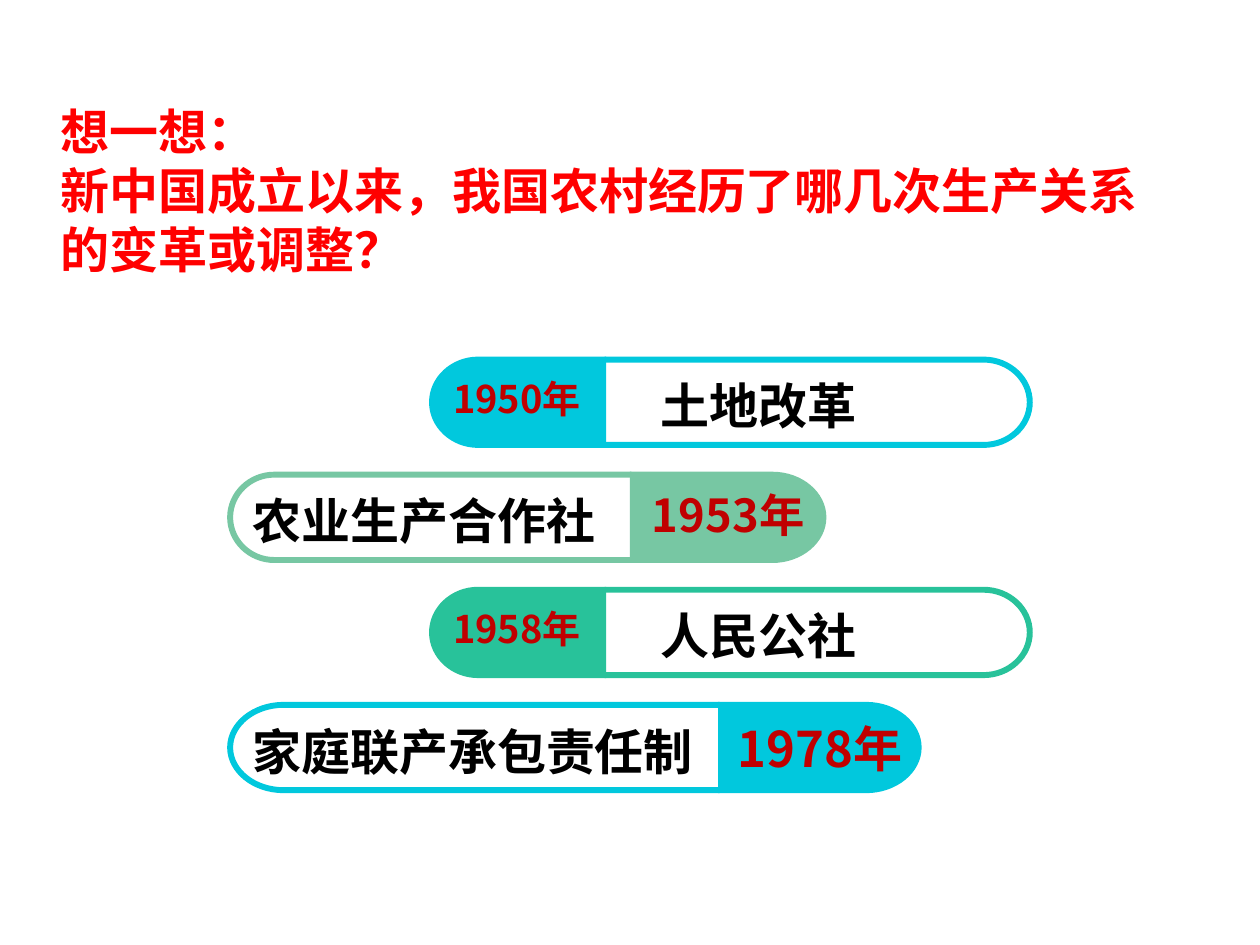
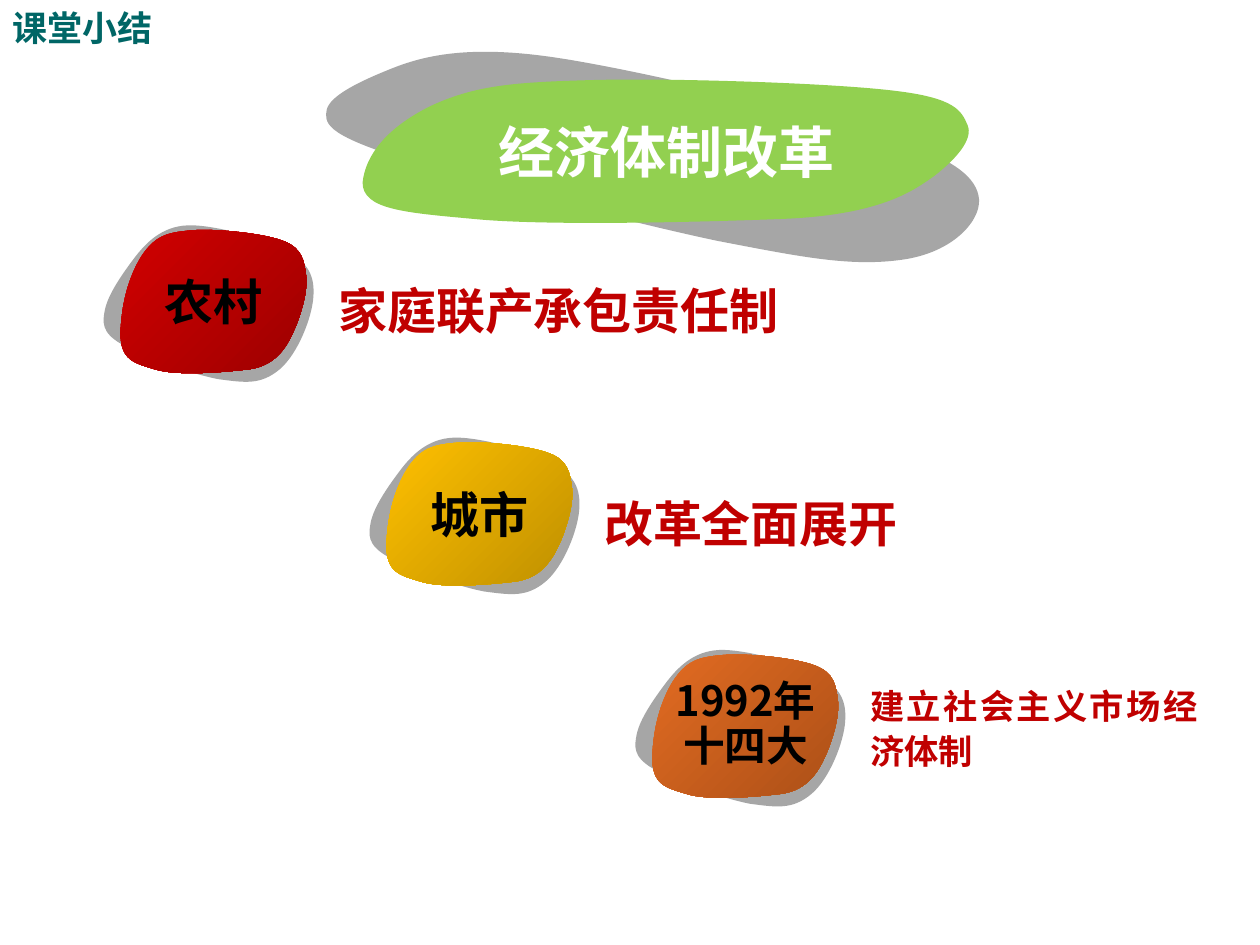
from dataclasses import dataclass

from lxml import etree
from pptx import Presentation
from pptx.dml.color import RGBColor
from pptx.enum.text import MSO_ANCHOR, PP_ALIGN
from pptx.oxml.ns import qn
from pptx.shapes.autoshape import Shape
from pptx.slide import Slide
from pptx.util import Cm, Pt

LEFT, CENTER, JUSTIFY = PP_ALIGN.LEFT, PP_ALIGN.CENTER, PP_ALIGN.JUSTIFY
TOP, MIDDLE = MSO_ANCHOR.TOP, MSO_ANCHOR.MIDDLE

COLORS = {
    "black": "000000", "white": "FFFFFF", "red": "FF0000", "dark": "C00000",
    "teal": "006666", "cyan": "01C8DD", "sage": "77C7A3", "jade": "28C29A",
    "gray": "A6A6A6", "lime": "92D050",
    "ruby": "D10000", "wine": "9D0000", "gold": "FFC000", "ochre": "BF9000",
    "orange": "E26B22", "rust": "AC5017",
}
HAN = "Noto Sans CJK SC"
Point = tuple[float, float]
Track = list[list[Point]]

BAR_TOP, BAR_STEP, BAR_TALL, RIM, LAP = 7.19, 2.32, 1.84, 0.12, 0.03
BLOB_LEFT, BLOB_TOP, BLOB_DX, BLOB_DY = 2.2, 4.6, 5.36, 4.28
TILT, ARC = 12.4, 0.55

BACK = [
    (90.9, 84.6), (83.3, 98), (75.6, 98.5), (62.2, 100.1),
    (49, 100.6), (21.7, 96.4), (11.2, 90.8),
    (0.8, 86), (0, 79.4), (0, 69.8),
    (0.1, 60.1), (3.9, 46.6), (8.4, 33),
    (12.6, 20.4), (18.6, 7.1), (31, 2.6),
    (43.3, -1.9), (70.9, 0.2), (82.3, 5.5),
    (93.7, 10), (98.1, 18.3), (99.5, 31.8),
    (101, 45.4), (98.1, 71.6), (90.9, 84.6),
]
FRONT = [
    (11, 19), (18.5, 4), (25, 2), (38, 0.5),
    (50.5, -1), (77, 2.5), (87.5, 8),
    (97.5, 13), (98.5, 22), (99.5, 32),
    (100.5, 42), (97.5, 56), (94, 67.5),
    (90.5, 78), (85, 95), (68.5, 97.5),
    (52.5, 100), (29.5, 102), (18.5, 97.5),
    (7, 93), (0, 91), (0, 72),
    (0.5, 52.5), (4, 34), (11, 19),
]


@dataclass
class Style:
    size: float
    color: str
    align: PP_ALIGN = LEFT
    space: float = 1.0
    font: str = HAN
    anchor: MSO_ANCHOR = MIDDLE


@dataclass
class Box:
    left: float
    top: float
    wide: float
    tall: float


@dataclass
class Bar:
    year: str
    event: str
    color: str
    tip: float
    split: float
    end: float
    cap: float
    bend: float
    size: float
    space: float
    pad: float


@dataclass
class Blob:
    label: str
    note: str
    fill: tuple[str, str]
    wide: float
    label_style: Style
    note_style: Style


BARS = [
    Bar("1950年", "土地改革", "cyan", 8.65, 12.19, 20.82, 0.99, 0.99, 21.7, 0.8, 1.13),
    Bar("1953年", "农业生产合作社", "sage", 16.66, 12.7, 4.58, 1.09, 0.95, 25.9, 0.9, 0.51),
    Bar("1958年", "人民公社", "jade", 8.65, 12.19, 20.82, 0.99, 0.99, 21.7, 0.8, 1.13),
    Bar("1978年", "家庭联产承包责任制", "cyan", 18.58, 14.48, 4.58, 1.12, 1.14, 28, 1, 0.51),
]
NAME = Style(28, "black", CENTER)
NOTE = Style(28, "dark", JUSTIFY, 1.3)
BLOBS = [
    Blob("农村", "家庭联产承包责任制", ("ruby", "wine"), 10.34, NAME, NOTE),
    Blob("城市", "改革全面展开", ("gold", "ochre"), 7.7, NAME, NOTE),
    Blob("1992年\n十四大", "建立社会主义市场经济体制", ("orange", "rust"), 7.11,
         Style(23.8, "black", CENTER, 0.9), Style(19.6, "dark", JUSTIFY, 1.1)),
]


def paint(name: str) -> RGBColor:
    return RGBColor.from_string(COLORS[name])


def write(shape: Shape, text: str, style: Style, pad: float = 0.25, right: float = 0.25) -> None:
    frame = shape.text_frame
    frame.word_wrap = True
    frame.vertical_anchor = style.anchor
    frame.margin_left, frame.margin_right = Cm(pad), Cm(right)
    frame.margin_top = frame.margin_bottom = Cm(0.13)
    frame.text = text
    for para in frame.paragraphs:
        para.alignment = style.align
        para.line_spacing = style.space
        font = para.font
        font.size, font.bold, font.name = Pt(style.size), True, style.font
        font.color.rgb = paint(style.color)
        etree.SubElement(font._rPr, qn("a:ea")).set("typeface", HAN)


def add_text(slide: Slide, box: Box, text: str, style: Style) -> None:
    area = slide.shapes.add_textbox(Cm(box.left), Cm(box.top), Cm(box.wide), Cm(box.tall))
    write(area, text, style)


def trace(shape: Shape, box: Box, track: Track) -> None:
    route = shape._element.find(".//" + qn("a:path"))
    for child in list(route):
        route.remove(child)
    for i, step in enumerate(track):
        tag = "a:moveTo" if i == 0 else "a:cubicBezTo" if len(step) == 3 else "a:lnTo"
        move = etree.SubElement(route, qn(tag))
        for x, y in step:
            spot = etree.SubElement(move, qn("a:pt"))
            spot.set("x", str(Cm(x - box.left)))
            spot.set("y", str(Cm(y - box.top)))
    etree.SubElement(route, qn("a:close"))


def outline(slide: Slide, box: Box, track: Track, *fill: str) -> Shape:
    pen = slide.shapes.build_freeform(Cm(box.left), Cm(box.top))
    pen.add_line_segments([(Cm(box.left + box.wide), Cm(box.top + box.tall))], close=True)
    shape = pen.convert_to_shape()
    trace(shape, box, track)
    shape.shadow.inherit = False
    shape.line.fill.background()
    if len(fill) == 1:
        shape.fill.solid()
        shape.fill.fore_color.rgb = paint(fill[0])
    else:
        shape.fill.gradient()
        shape.fill.gradient_angle = 315
        for stop, name in zip(shape.fill.gradient_stops, fill):
            stop.color.rgb = paint(name)
    return shape


def half(flat: float, tip: float, bend: float, top: float, rim: float = 0) -> Track:
    side = 1 if tip > flat else -1
    mid, rise = top + BAR_TALL / 2, BAR_TALL / 2 - rim
    hub, edge = tip - side * bend, tip - side * rim
    bow, lift = hub + (edge - hub) * ARC, rise * ARC
    high, low = mid - rise, mid + rise
    return [
        [(flat, high)], [(hub, high)],
        [(bow, high), (edge, mid - lift), (edge, mid)],
        [(edge, mid + lift), (bow, low), (hub, low)],
        [(flat, low)],
    ]


def flip(track: Track) -> Track:
    spots = [step[-1] for step in track]
    back = [[spots[-1]]]
    for i in range(len(track) - 1, 0, -1):
        back.append(track[i][:-1][::-1] + [spots[i - 1]])
    return back


def add_bar(slide: Slide, bar: Bar, top: float) -> None:
    def span(tip: float) -> tuple[Box, float]:
        box = Box(min(tip, bar.split), top, abs(tip - bar.split), BAR_TALL)
        return box, bar.split + (LAP if tip < bar.split else 0)

    box, flat = span(bar.tip)
    cap = outline(slide, box, half(flat, bar.tip, bar.cap, top), bar.color)
    write(cap, bar.year, Style(bar.size, "dark", CENTER, bar.space))
    box, flat = span(bar.end)
    inner = half(flat, bar.end, bar.bend, top, RIM)
    track = half(flat, bar.end, bar.bend, top) + flip(inner)
    ring = outline(slide, box, track, bar.color)
    write(ring, bar.event, Style(28, "black", JUSTIFY, 1.1), bar.pad)


def curve(knots: list[Point], box: Box) -> Track:
    spots = [(box.left + box.wide * x / 100, box.top + box.tall * y / 100) for x, y in knots]
    return [spots[:1]] + [spots[i:i + 3] for i in range(1, len(spots), 3)]


def add_blob(slide: Slide, left: float, top: float, text: str, style: Style,
             fill: tuple[str, ...], stretch: float = 1) -> None:
    under = Box(left, top, 4.07 * stretch, 2.97)
    outline(slide, under, curve(BACK, under), "gray").rotation = TILT
    over = Box(left + 0.23 * stretch, top + 0.03, 3.76 * stretch, 2.89)
    write(outline(slide, over, curve(FRONT, over), *fill), text, style)


def draw_reforms(slide: Slide) -> None:
    for i, bar in enumerate(BARS):
        add_bar(slide, bar, BAR_TOP + i * BAR_STEP)
    add_text(slide, Box(0.98, 1.92, 23.11, 3.81),
             "想一想：\n新中国成立以来，我国农村经历了哪几次生产关系的变革或调整？",
             Style(28, "red", anchor=TOP))


def draw_summary(slide: Slide) -> None:
    add_text(slide, Box(0, 0, 3.61, 1.12), "课堂小结",
             Style(20, "teal", font="Arial", anchor=TOP))
    for i, blob in enumerate(BLOBS):
        left, top = BLOB_LEFT + i * BLOB_DX, BLOB_TOP + i * BLOB_DY
        add_blob(slide, left, top, blob.label, blob.label_style, blob.fill)
        add_text(slide, Box(left + 4.37, top + 0.4, blob.wide, 2.16), blob.note, blob.note_style)
    add_blob(slide, 6.56, 1.57, "经济体制改革", Style(32, "white", CENTER), ("lime",), 3.26)


def main() -> None:
    deck = Presentation()
    deck.slide_width, deck.slide_height = Cm(25.4), Cm(19.05)
    for draw in (draw_reforms, draw_summary):
        draw(deck.slides.add_slide(deck.slide_layouts[6]))
    deck.save("out.pptx")


if __name__ == "__main__":
    main()
